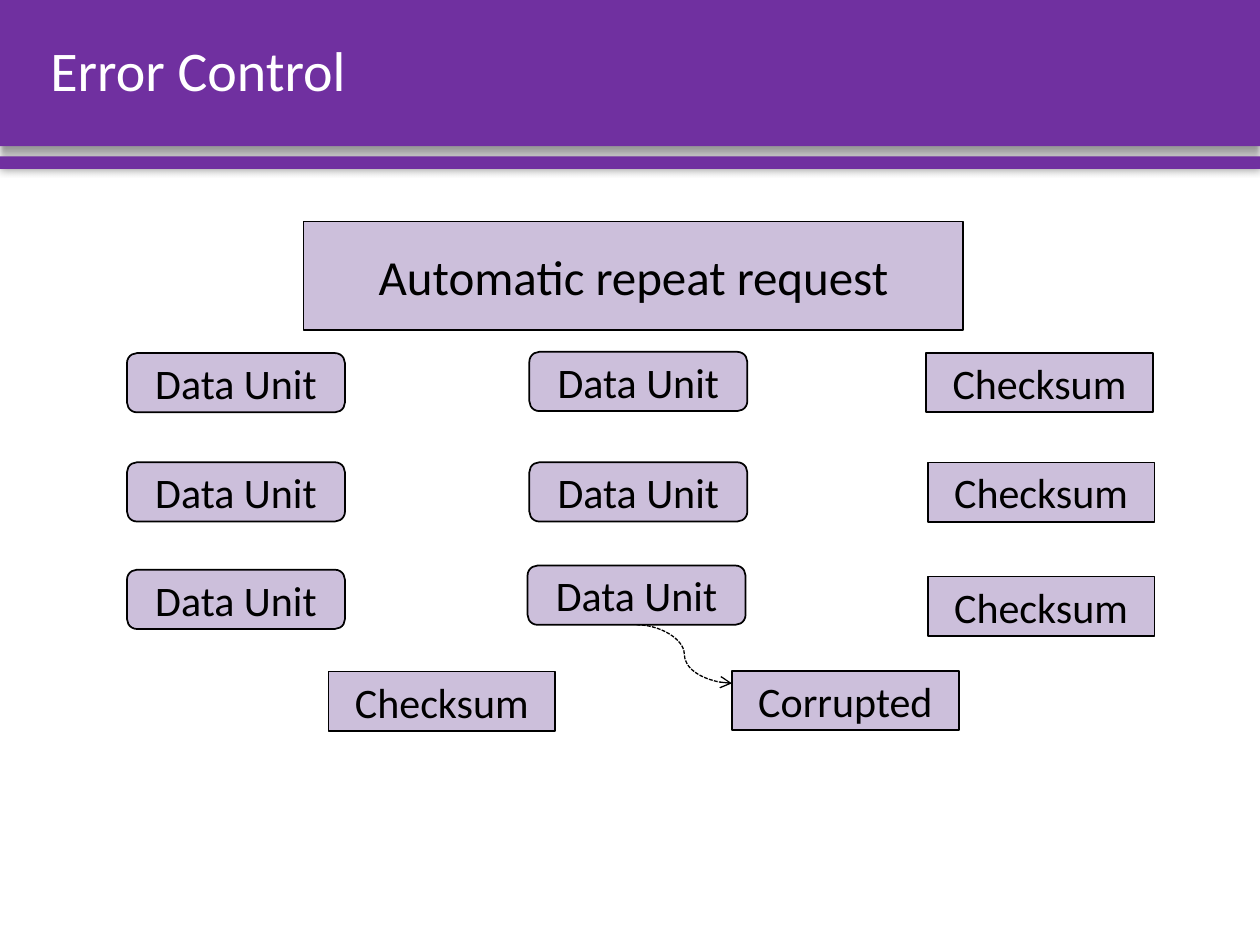
from lxml.etree import SubElement
from pptx import Presentation
from pptx.dml.color import RGBColor
from pptx.enum.dml import MSO_LINE
from pptx.enum.shapes import MSO_CONNECTOR, MSO_SHAPE
from pptx.enum.text import MSO_ANCHOR, PP_ALIGN
from pptx.oxml import parse_xml
from pptx.oxml.ns import nsdecls, qn
from pptx.util import Pt

PURPLE, LILAC, BLACK, WHITE = "7030A0", "CCBFDB", "000000", "FFFFFF"
UNIT_WIDTH, CHECKSUM_WIDTH, BOX_HEIGHT = 124.56, 129.6, 33.84


def color(value):
    return RGBColor.from_string(value)


def write_text(shape, text, size=24, fill=BLACK, align=PP_ALIGN.CENTER, line_spacing=None):
    frame = shape.text_frame
    frame.word_wrap = True
    frame.vertical_anchor = MSO_ANCHOR.MIDDLE
    paragraph = frame.paragraphs[0]
    paragraph.alignment = align
    paragraph.line_spacing = line_spacing
    run = paragraph.add_run()
    run.text = text
    run.font.name = "Calibri"
    run.font.size = Pt(size)
    run.font.color.rgb = color(fill)


class SlideBuilder:
    def __init__(self, slide):
        self.slide = slide
        self.bar_count = 0

    def shape(self, kind, left, top, width, height, fill):
        shape = self.slide.shapes.add_shape(kind, Pt(left), Pt(top), Pt(width), Pt(height))
        shape.shadow.inherit = False
        shape.fill.solid()
        shape.fill.fore_color.rgb = color(fill)
        return shape

    def bar(self, top, height, blur, distance, angle):
        """Add a full-width shadowed bar behind the title."""
        bar = self.shape(MSO_SHAPE.RECTANGLE, 0, top, 720, height, PURPLE)
        bar.line.fill.background()
        effects = bar._element.spPr.find(qn("a:effectLst"))
        effects.append(parse_xml(
            f'<a:outerShdw {nsdecls("a")} blurRad="{Pt(blur)}" dist="{Pt(distance)}" '
            f'dir="{angle * 60000}" algn="t" rotWithShape="0">'
            f'<a:srgbClr val="{BLACK}"><a:alpha val="40000"/></a:srgbClr></a:outerShdw>'))
        self.slide.shapes._spTree.insert(2 + self.bar_count, bar._element)
        self.bar_count += 1

    def title(self, text, left, top, width, height):
        title = self.slide.shapes.title
        title.left, title.top, title.width, title.height = map(Pt, (left, top, width, height))
        write_text(title, text, size=32, fill=WHITE, align=PP_ALIGN.LEFT, line_spacing=0.9)

    def box(self, text, left, top, width, height=BOX_HEIGHT, kind=MSO_SHAPE.RECTANGLE, size=24):
        box = self.shape(kind, left, top, width, height, LILAC)
        box.line.color.rgb = color(BLACK)
        box.line.width = Pt(1)
        write_text(box, text, size=size)
        return box

    def data_unit(self, left, top):
        return self.box("Data Unit", left, top, UNIT_WIDTH, kind=MSO_SHAPE.ROUNDED_RECTANGLE)

    def checksum(self, left, top):
        return self.box("Checksum", left, top, CHECKSUM_WIDTH)

    def curved_arrow(self, source, end_left, end_top):
        """Draw a dashed curve from the bottom of source to a point."""
        arrow = self.slide.shapes.add_connector(
            MSO_CONNECTOR.CURVE, source.left + source.width // 2,
            source.top + source.height, Pt(end_left), Pt(end_top))
        arrow.begin_connect(source, 2)
        arrow.line.color.rgb = color(BLACK)
        arrow.line.width = Pt(0.75)
        arrow.line.dash_style = MSO_LINE.SQUARE_DOT
        SubElement(arrow.line._get_or_add_ln(), qn("a:tailEnd"), type="arrow")
        SubElement(arrow._element.spPr, qn("a:effectLst"))


def main():
    presentation = Presentation()
    presentation.slide_width, presentation.slide_height = Pt(720), Pt(540)
    slide = presentation.slides.add_slide(presentation.slide_layouts[5])
    builder = SlideBuilder(slide)

    builder.bar(0, 83.6, blur=4, distance=3, angle=90)
    builder.bar(89.4, 7.2, blur=5, distance=0, angle=0)
    builder.title("Error Control", 21.6, 0, 681, 83.6)
    builder.box("Automatic repeat request", 173.5, 126.6, 377, 62, size=28)

    for top in (201.8, 264.2, 325.6):
        builder.data_unit(72.6, top)
    for left, top in ((302.5, 201.1), (302.5, 264.2)):
        builder.data_unit(left, top)
    corrupted_unit = builder.data_unit(301.5, 323.2)
    for left, top in ((529.2, 201.7), (530.1, 264.3), (530.1, 329.5), (187.7, 383.8)):
        builder.checksum(left, top)
    builder.box("Corrupted", 418.3, 383.3, CHECKSUM_WIDTH)
    builder.curved_arrow(corrupted_unit, 418.3, 390.5)

    presentation.save("out.pptx")


if __name__ == "__main__":
    main()
